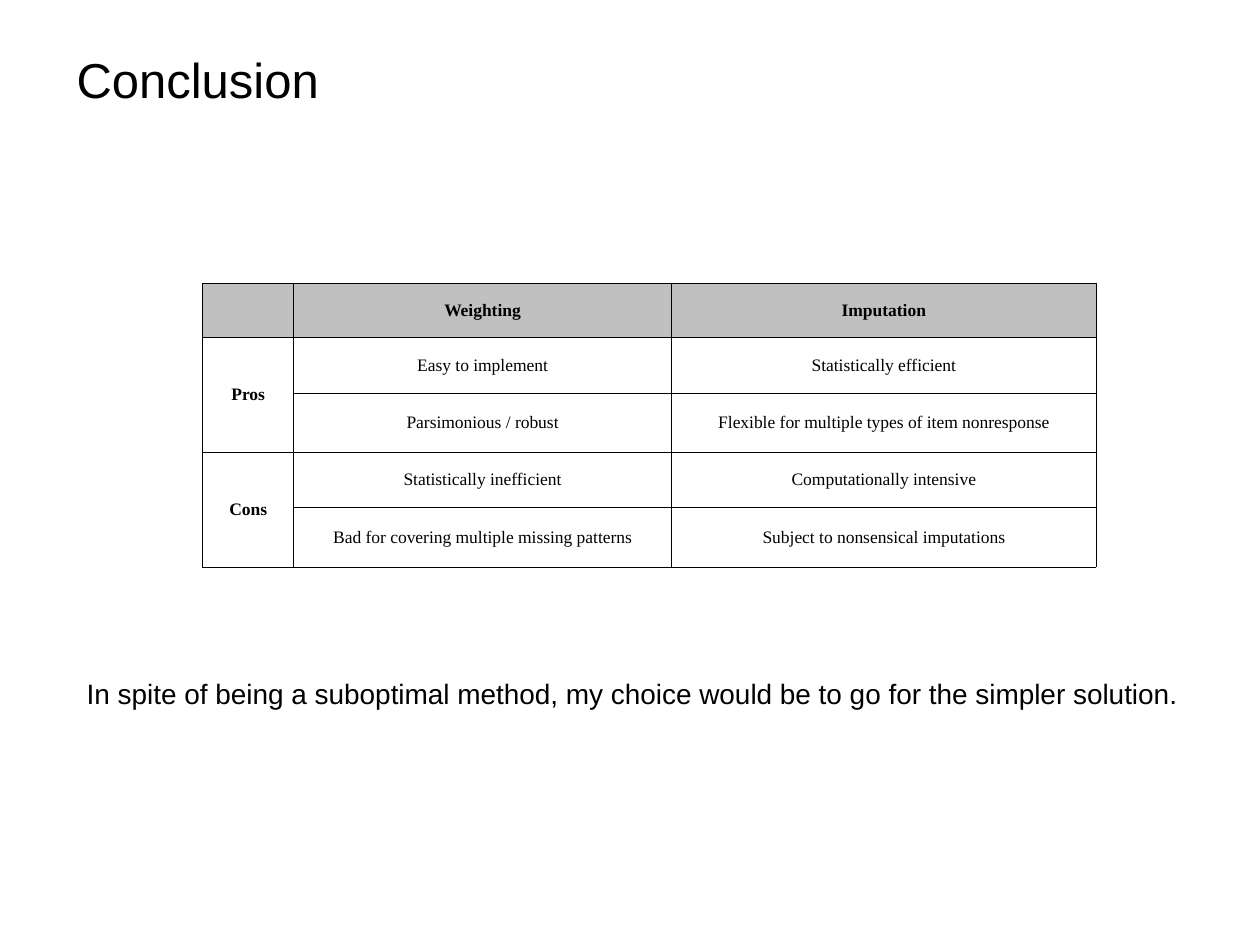
from lxml import etree
from pptx import Presentation
from pptx.dml.color import RGBColor
from pptx.enum import text as t
from pptx.oxml import ns
from pptx.util import Inches, Pt

BLACK, GREY = "000000", "C0C0C0"
NOTES = [
    ("Conclusion", (0.51, 0, 9, 1.25), 28, t.MSO_ANCHOR.MIDDLE),
    ("In spite of being a suboptimal method, my choice would be to go "
     "for the simpler solution.", (0.59, 5.32, 9.97, 0.37), 16, t.MSO_ANCHOR.TOP),
]
ROWS = [
    ("", "Weighting", "Imputation"),
    ("Pros", "Easy to implement", "Statistically efficient"),
    ("", "Parsimonious / robust", "Flexible for multiple types of item nonresponse"),
    ("Cons", "Statistically inefficient", "Computationally intensive"),
    ("", "Bad for covering multiple missing patterns", "Subject to nonsensical imputations"),
]
WIDTHS = [0.72, 3, 3.37]
HEIGHTS = [0.43, 0.44, 0.47, 0.44, 0.47]
SPANS = [1, 3]


def color(hue):
    return RGBColor.from_string(hue)


def write(para, words, size, face, bold=False):
    run = para.add_run()
    run.text = words
    font = run.font
    font.size, font.name, font.bold = Pt(size), face, bold
    font.color.rgb = color(BLACK)


def border(cell):
    props = cell._tc.get_or_add_tcPr()
    for side in ("a:lnL", "a:lnR", "a:lnT", "a:lnB"):
        line = etree.SubElement(props, ns.qn(side), w=str(Pt(0.45)))
        fill = etree.SubElement(line, ns.qn("a:solidFill"))
        etree.SubElement(fill, ns.qn("a:srgbClr"), val=BLACK)


def add_note(slide, words, place, size, anchor):
    frame = slide.shapes.add_textbox(*map(Inches, place)).text_frame
    frame.word_wrap = True
    frame.vertical_anchor = anchor
    write(frame.paragraphs[0], words, size, "Arial")


def add_grid(slide):
    grid = slide.shapes.add_table(
        len(ROWS), len(WIDTHS), Inches(1.61), Inches(2.25),
        Inches(sum(WIDTHS)), Inches(sum(HEIGHTS))).table
    for col, width in zip(grid.columns, WIDTHS):
        col.width = Inches(width)
    for row, height in zip(grid.rows, HEIGHTS):
        row.height = Inches(height)
    for r, row in enumerate(ROWS):
        for c, words in enumerate(row):
            cell = grid.cell(r, c)
            border(cell)
            if r == 0:
                cell.fill.solid()
                cell.fill.fore_color.rgb = color(GREY)
            else:
                cell.fill.background()
            cell.vertical_anchor = t.MSO_ANCHOR.MIDDLE
            if words:
                para = cell.text_frame.paragraphs[0]
                para.alignment = t.PP_ALIGN.CENTER
                write(para, words, 10, "Times New Roman", r == 0 or c == 0)
    for r in SPANS:
        grid.cell(r, 0).merge(grid.cell(r + 1, 0))


def main():
    deck = Presentation()
    deck.slide_width, deck.slide_height = Inches(10), Inches(7.5)
    slide = deck.slides.add_slide(deck.slide_layouts[6])
    add_grid(slide)
    for note in NOTES:
        add_note(slide, *note)
    deck.save("out.pptx")


if __name__ == "__main__":
    main()
